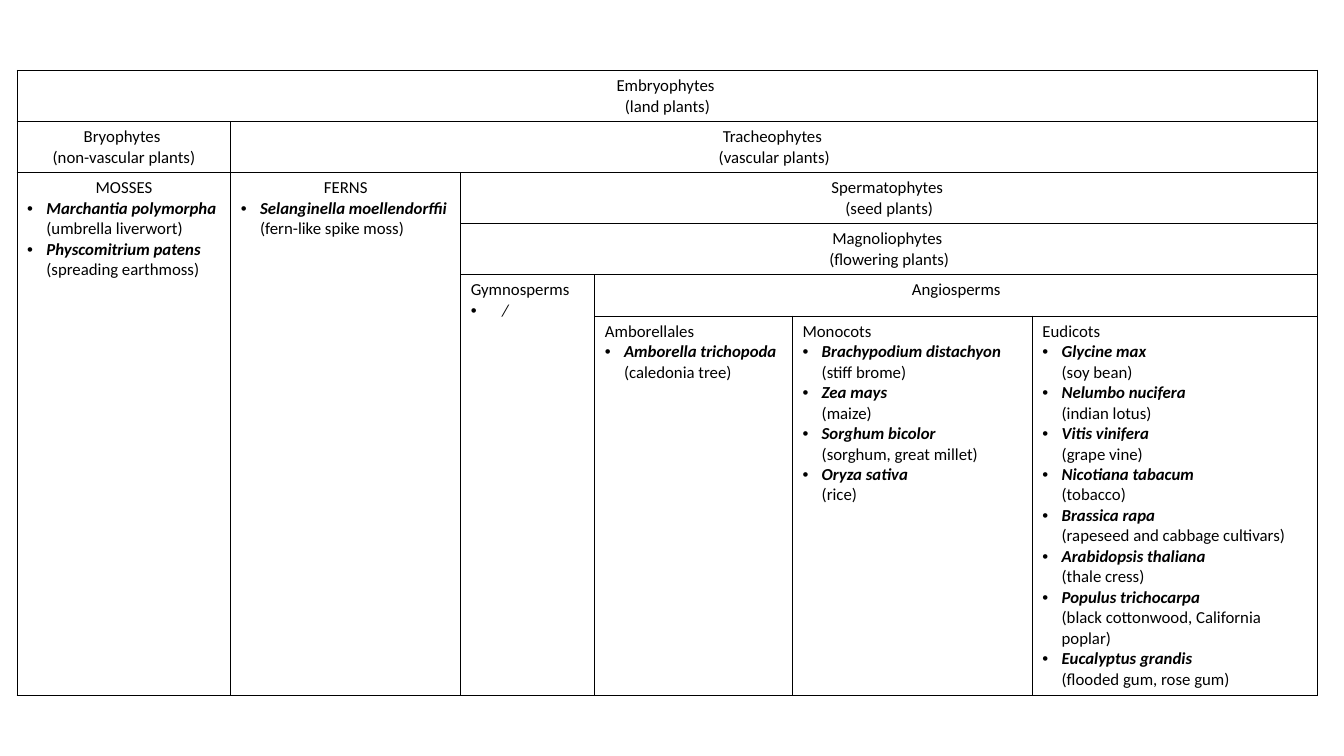
import pptx
import pptx.dml.color
import pptx.enum.text
import pptx.oxml
import pptx.oxml.ns
import pptx.util
from pptx.util import Inches

BLACK = pptx.dml.color.RGBColor(0, 0, 0)
WHITE = pptx.dml.color.RGBColor(255, 255, 255)
COLUMN_WIDTHS = [2.12, 2.28, 1.33, 1.96, 2.38, 2.83]
ROW_HEIGHTS = [0.5, 0.5, 0.5, 0.5, 0.41, 3.76]

# row, column, rows spanned, columns spanned, heading, centred
GROUPS = [
    (0, 0, 1, 6, "Embryophytes \v(land plants)", True),
    (1, 0, 1, 1, "Bryophytes \v(non-vascular plants)", True),
    (1, 1, 1, 5, "Tracheophytes \v(vascular plants)", True),
    (2, 0, 4, 1, "MOSSES", True),
    (2, 1, 4, 1, "FERNS", True),
    (2, 2, 1, 4, "Spermatophytes \v(seed plants)", True),
    (3, 2, 1, 4, "Magnoliophytes \v(flowering plants)", True),
    (4, 2, 2, 1, "Gymnosperms", False),
    (4, 3, 1, 3, "Angiosperms", True),
    (5, 3, 1, 1, "Amborellales", False),
    (5, 4, 1, 1, "Monocots", False),
    (5, 5, 1, 1, "Eudicots", False),
]
SPECIES = {
    "MOSSES": [
        ("Marchantia polymorpha", "umbrella liverwort"),
        ("Physcomitrium patens", "spreading earthmoss"),
    ],
    "FERNS": [("Selanginella moellendorffii", "fern-like spike moss")],
    "Gymnosperms": [("/", None)],
    "Amborellales": [("Amborella trichopoda", "caledonia tree")],
    "Monocots": [
        ("Brachypodium distachyon", "stiff brome"),
        ("Zea mays", "maize"),
        ("Sorghum bicolor", "sorghum, great millet"),
        ("Oryza sativa", "rice"),
    ],
    "Eudicots": [
        ("Glycine max", "soy bean"),
        ("Nelumbo nucifera", "indian lotus"),
        ("Vitis vinifera", "grape vine"),
        ("Nicotiana tabacum", "tobacco"),
        ("Brassica rapa", "rapeseed and cabbage cultivars"),
        ("Arabidopsis thaliana", "thale cress"),
        ("Populus trichocarpa", "black cottonwood, California poplar"),
        ("Eucalyptus grandis", "flooded gum, rose gum"),
    ],
}


def style_paragraph(para):
    para.font.name = "Calibri"
    para.font.size = pptx.util.Pt(12)
    para.font.color.rgb = BLACK


def add_bullet(para, indent):
    """Give the paragraph a round bullet and a hanging indent."""
    properties = para._p.get_or_add_pPr()
    properties.set("marL", str(Inches(indent)))
    properties.set("indent", str(-Inches(indent)))
    namespace = pptx.oxml.ns.nsdecls("a")
    for position, markup in enumerate((
        f'<a:buFont {namespace} typeface="Arial"/>',
        f'<a:buChar {namespace} char="•"/>',
    )):
        properties.insert(position, pptx.oxml.parse_xml(markup))


deck = pptx.Presentation()
deck.slide_width = Inches(13.33)
deck.slide_height = Inches(7.5)
page = deck.slides.add_slide(deck.slide_layouts[6])

table = page.shapes.add_table(
    len(ROW_HEIGHTS), len(COLUMN_WIDTHS), Inches(0.17), Inches(0.7),
    Inches(sum(COLUMN_WIDTHS)), Inches(sum(ROW_HEIGHTS))).table
table.first_row = False
table.horz_banding = False
for column, width in zip(table.columns, COLUMN_WIDTHS):
    column.width = Inches(width)
for row, height in zip(table.rows, ROW_HEIGHTS):
    row.height = Inches(height)

for cell in table.iter_cells():
    cell.fill.solid()
    cell.fill.fore_color.rgb = WHITE
    properties = cell._tc.get_or_add_tcPr()
    for position, side in enumerate(("lnL", "lnR", "lnT", "lnB")):
        properties.insert(position, pptx.oxml.parse_xml(
            f'<a:{side} {pptx.oxml.ns.nsdecls("a")} w="{pptx.util.Pt(1)}">'
            f'<a:solidFill><a:srgbClr val="{BLACK}"/></a:solidFill></a:{side}>'))

for row, column, height, width, heading, centred in GROUPS:
    cell = table.cell(row, column)
    if height > 1 or width > 1:
        cell.merge(table.cell(row + height - 1, column + width - 1))
    if row < 2:
        cell.vertical_anchor = pptx.enum.text.MSO_ANCHOR.MIDDLE
    para = cell.text_frame.paragraphs[0]
    para.text = heading
    style_paragraph(para)
    if centred:
        para.alignment = pptx.enum.text.PP_ALIGN.CENTER

    for latin_name, common_name in SPECIES.get(heading, []):
        para = cell.text_frame.add_paragraph()
        style_paragraph(para)
        add_bullet(para, 0.19 if common_name else 0.31)
        span = para.add_run()
        span.text = latin_name
        span.font.italic = True
        if common_name:
            span.font.bold = True
            para.add_line_break()
            para.add_run().text = f"({common_name})"

deck.save("out.pptx")
